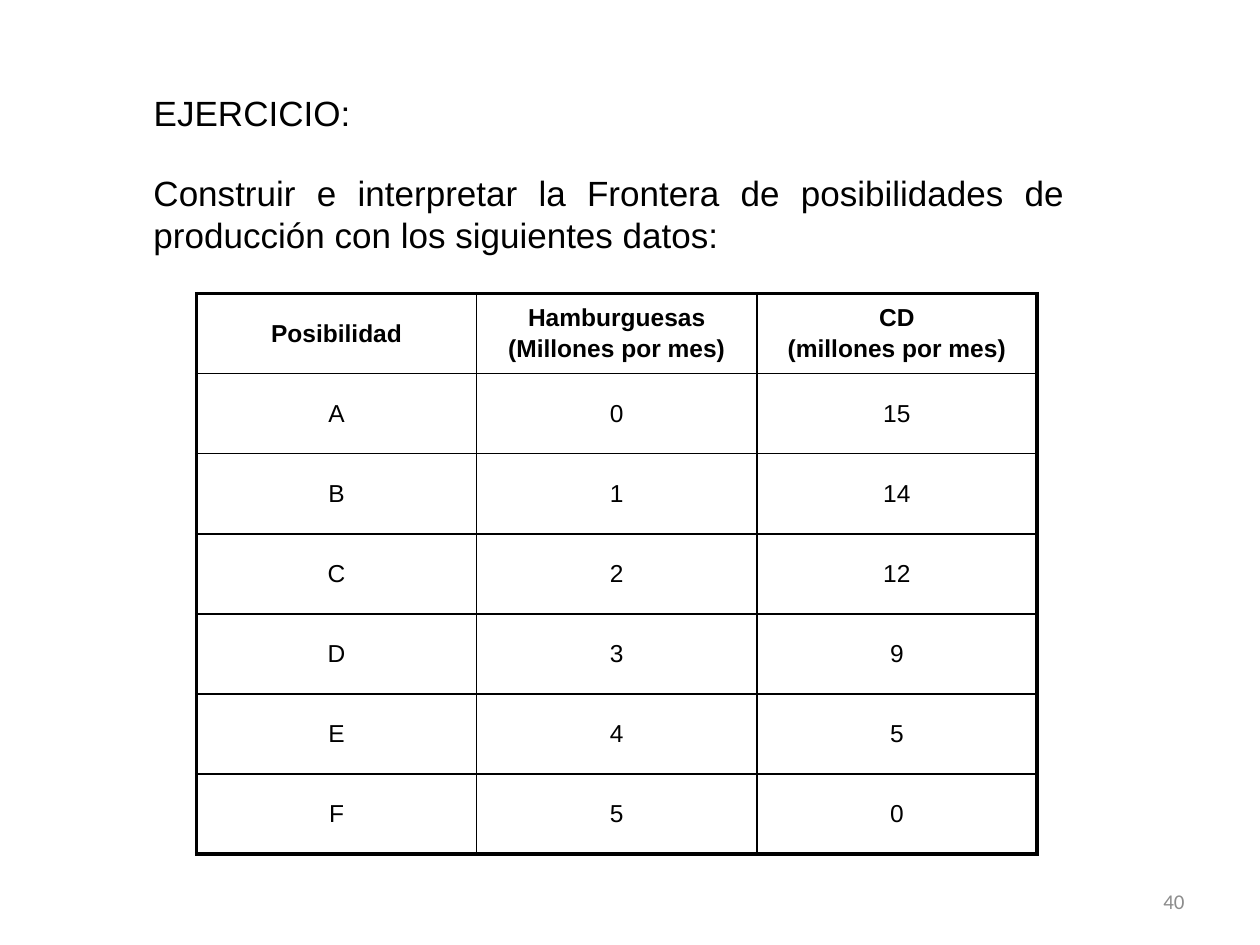
from typing import NamedTuple

from lxml.etree import SubElement
from pptx import Presentation
from pptx.dml.color import RGBColor
from pptx.enum.text import MSO_ANCHOR, MSO_AUTO_SIZE, PP_ALIGN
from pptx.oxml.ns import qn
from pptx.util import Inches, Pt

BLACK = RGBColor(0x00, 0x00, 0x00)
GRAY = RGBColor(0x8C, 0x8C, 0x8C)
THIN, THICK = 1, 2.25


class Box(NamedTuple):
    left: float
    top: float
    width: float
    height: float

    def lengths(self) -> list:
        return [Inches(v) for v in self]


TITLE = Box(1.12, 0.68, 1.76, 0.43)
TASK = Box(1.12, 1.31, 7.43, 0.77)
TABLE = Box(1.56, 2.33, 6.67, 4.45)
NUMBER = Box(7.17, 6.95, 2.33, 0.4)

ROWS = [
    ("Posibilidad", "Hamburguesas\n(Millones por mes)", "CD\n(millones por mes)"),
    ("A", "0", "15"),
    ("B", "1", "14"),
    ("C", "2", "12"),
    ("D", "3", "9"),
    ("E", "4", "5"),
    ("F", "5", "0"),
]


def write(tf, text: str, *, size: float = 20, font: str = "Arial",
          color: RGBColor = BLACK, bold: bool = False,
          align: PP_ALIGN = PP_ALIGN.JUSTIFY, before: float = 0) -> None:
    """Fill a text frame, one paragraph per line of text."""
    for i, line in enumerate(text.split("\n")):
        p = tf.paragraphs[0] if i == 0 else tf.add_paragraph()
        p.alignment = align
        p.space_before = Pt(before)
        r = p.add_run()
        r.text = line
        r.font.size = Pt(size)
        r.font.name = font
        r.font.bold = bold
        r.font.color.rgb = color


def add_text(slide, box: Box, text: str, anchor=MSO_ANCHOR.TOP, **fmt) -> None:
    tf = slide.shapes.add_textbox(*box.lengths()).text_frame
    tf.word_wrap = True
    tf.vertical_anchor = anchor
    write(tf, text, **fmt)


def set_borders(cell, widths: dict) -> None:
    """Draw solid black borders; they must precede the fill in the cell's XML."""
    props = cell._tc.get_or_add_tcPr()
    for side, width in widths.items():
        ln = SubElement(props, qn(f"a:ln{side}"), w=str(Pt(width)))
        fill = SubElement(ln, qn("a:solidFill"))
        SubElement(fill, qn("a:srgbClr"), val=str(BLACK))


def add_grid(slide, box: Box, rows: list) -> None:
    n_rows, n_cols = len(rows), len(rows[0])
    table = slide.shapes.add_table(n_rows, n_cols, *box.lengths()).table
    table.first_row = table.horz_banding = False
    for column in table.columns:
        column.width = Inches(box.width / n_cols)
    for i, values in enumerate(rows):
        table.rows[i].height = Inches(box.height / n_rows)
        for j, value in enumerate(values):
            cell = table.cell(i, j)
            cell.vertical_anchor = MSO_ANCHOR.MIDDLE
            write(cell.text_frame, value, size=14, bold=i == 0,
                  align=PP_ALIGN.CENTER, before=2.2)
            # Thick outer frame, thin inner lines
            outer = {"L": j == 0, "R": j == n_cols - 1,
                     "T": i == 0, "B": i == n_rows - 1}
            set_borders(cell, {s: THICK if o else THIN for s, o in outer.items()})
            cell.fill.background()


def main() -> None:
    prs = Presentation()
    prs.slide_width, prs.slide_height = Inches(10), Inches(7.5)
    slide = prs.slides.add_slide(prs.slide_layouts[5])

    # Title, with no right inset so that it stays on one line
    title = slide.shapes.title
    title.left, title.top, title.width, title.height = TITLE.lengths()
    tf = title.text_frame
    tf.word_wrap = True
    tf.margin_right = 0
    tf.auto_size = MSO_AUTO_SIZE.NONE
    tf.vertical_anchor = MSO_ANCHOR.TOP
    write(tf, "EJERCICIO:", align=PP_ALIGN.LEFT)

    # Task
    add_text(slide, TASK, "Construir e interpretar la Frontera de posibilidades "
                          "de producción con los siguientes datos:")

    # Production possibilities
    add_grid(slide, TABLE, ROWS)

    # Slide number
    add_text(slide, NUMBER, "40", MSO_ANCHOR.MIDDLE, size=12, font="Calibri",
             color=GRAY, align=PP_ALIGN.RIGHT)

    prs.save("out.pptx")


if __name__ == "__main__":
    main()
